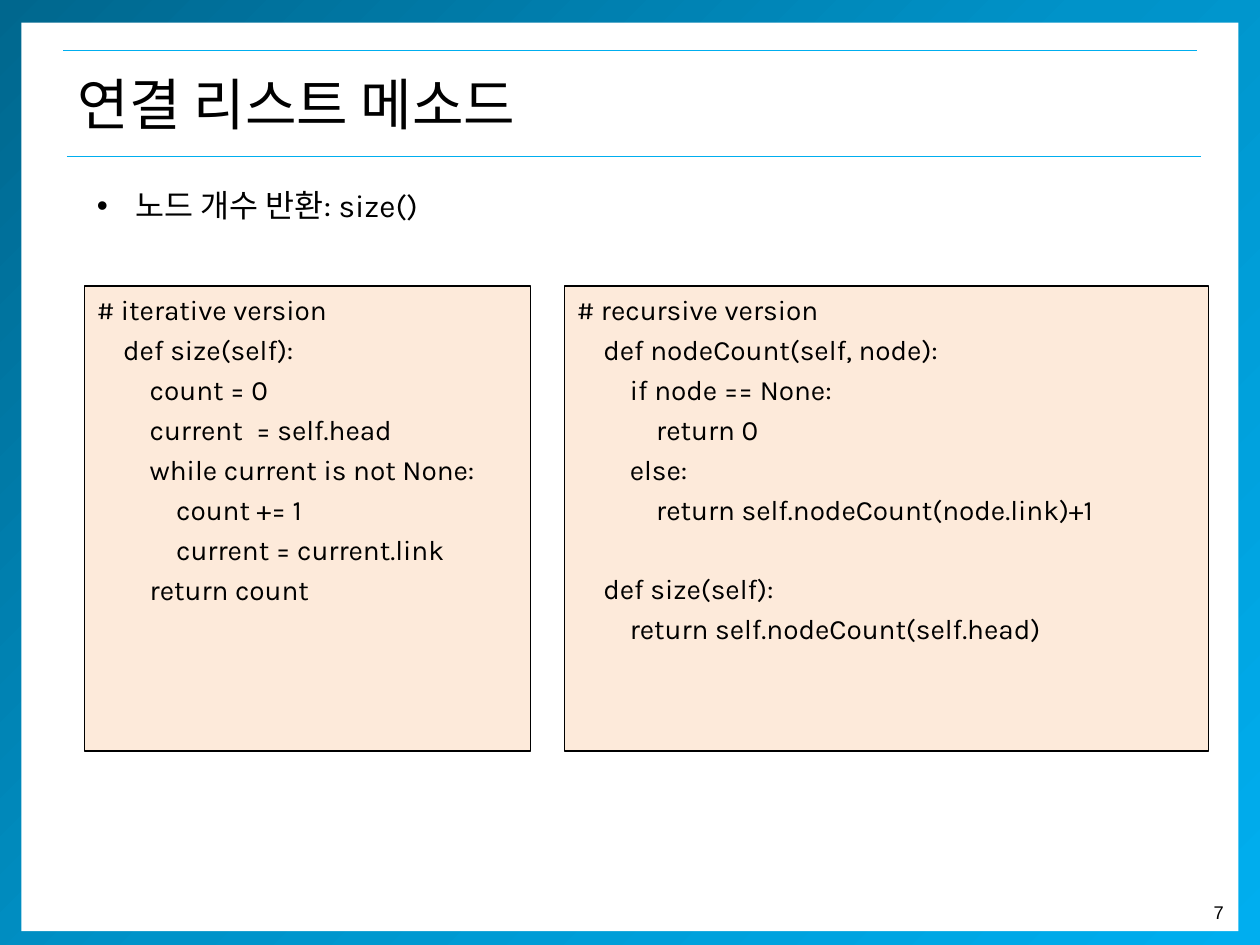
from copy import deepcopy

from lxml.etree import SubElement
from pptx import Presentation
from pptx.dml.color import RGBColor
from pptx.enum.shapes import MSO_CONNECTOR as Connector, MSO_SHAPE as Shape
from pptx.enum.text import MSO_ANCHOR as Anchor, PP_ALIGN as Align
from pptx.oxml.ns import qn
from pptx.util import Inches, Pt

COLORS = {
    "deep": "00678E", "mid": "0093C9", "sky": "00AEEF",
    "paper": "FFFFFF", "code": "FDEADA", "ink": "000000",
}
KOREAN = "Noto Sans CJK KR"
CODE_GAP = 3.7
BLANK_LINE = 22.4
INDENT_STEP = 0.21

ITERATIVE = [
    (0, "# iterative version"),
    (1, "def size(self):"),
    (2, "count = 0"),
    (2, "current  = self.head"),
    (2, "while current is not None:"),
    (3, "count += 1"),
    (3, "current = current.link"),
    (2, "return count"),
]
RECURSIVE = [
    (0, "# recursive version"),
    (1, "def nodeCount(self, node):"),
    (2, "if node == None:"),
    (3, "return 0"),
    (2, "else:"),
    (3, "return self.nodeCount(node.link)+1"),
    (1, "def size(self):", BLANK_LINE),
    (2, "return self.nodeCount(self.head)"),
]


def color(name):
    return RGBColor.from_string(COLORS[name])


def write(paragraph, text, size=16, font="Karla", align=Align.LEFT,
          before=0, margin=0, bullet=None):
    paragraph.alignment = align
    paragraph.space_before = Pt(before)
    run = paragraph.add_run()
    run.text = text
    run.font.size = Pt(size)
    run.font.color.rgb = color("ink")
    run.font.name = font
    SubElement(run.font._element, qn("a:ea"), typeface=KOREAN)
    layout = paragraph._p.get_or_add_pPr()
    layout.set("marL", str(Inches(margin)))
    layout.set("indent", str(-Inches(margin) if bullet else 0))
    if bullet:
        SubElement(layout, qn("a:buFont"), typeface="Arial")
        SubElement(layout, qn("a:buChar"), char=bullet)


class Deck:
    """Draws styled elements on a grid of 10 columns by 7.5 rows."""

    def __init__(self, columns=10, rows=7.5):
        self.columns, self.rows = columns, rows
        self.file = Presentation()
        self.file.slide_width = Inches(10)
        self.file.slide_height = Inches(7.5)
        self.slide = self.file.slides.add_slide(self.file.slide_layouts[6])

    def place(self, *lengths):
        across = self.file.slide_width / self.columns
        down = self.file.slide_height / self.rows
        return [round(n * (down if i % 2 else across))
                for i, n in enumerate(lengths)]

    def panel(self, *box, fill, line=None):
        panel = self.slide.shapes.add_shape(Shape.RECTANGLE, *self.place(*box))
        panel.shadow.inherit = False
        if isinstance(fill, list):
            self.blend(panel.fill, fill)
        else:
            panel.fill.solid()
            panel.fill.fore_color.rgb = color(fill)
        if line:
            panel.line.color.rgb = color(line)
            panel.line.width = Pt(0.75)
        else:
            panel.line.fill.background()
        return panel

    def blend(self, fill, names):
        fill.gradient()
        fill.gradient_angle = 315
        first = fill.gradient_stops[0]._gs
        for _ in names[2:]:
            first.addnext(deepcopy(first))
        for i, (stop, name) in enumerate(zip(fill.gradient_stops, names)):
            stop.color.rgb = color(name)
            stop.position = i / (len(names) - 1)

    def rule(self, left, top, width):
        rule = self.slide.shapes.add_connector(
            Connector.STRAIGHT, *self.place(left, top, left + width, top))
        rule.line.color.rgb = color("sky")
        rule.line.width = Pt(0.75)
        SubElement(rule._element.spPr, qn("a:effectLst"))

    def label(self, *box, text, anchor=Anchor.TOP, **style):
        frame = self.slide.shapes.add_textbox(*self.place(*box)).text_frame
        frame.word_wrap = True
        frame.vertical_anchor = anchor
        write(frame.paragraphs[0], text, **style)

    def code(self, *box, lines):
        frame = self.panel(*box, fill="code", line="ink").text_frame
        frame.word_wrap = True
        frame.vertical_anchor = Anchor.TOP
        for i, (level, text, *extra) in enumerate(lines):
            paragraph = frame.add_paragraph() if i else frame.paragraphs[0]
            write(paragraph, text, before=CODE_GAP + sum(extra),
                  margin=level * INDENT_STEP)


def main():
    deck = Deck()
    deck.panel(0, 0, 10, 7.5, fill=["deep", "mid", "sky"])
    deck.panel(0.17, 0.18, 9.66, 7.21, fill="paper")
    deck.label(9.42, 7.1, 0.39, 0.28, text="7", size=10.5, font="Arial",
               align=Align.RIGHT)
    deck.rule(0.5, 0.4, 9)
    deck.rule(0.53, 1.24, 9)
    deck.label(0.52, 0.4, 9.07, 0.84, text="연결 리스트 메소드", size=32,
               font=KOREAN, anchor=Anchor.MIDDLE)
    deck.code(0.67, 2.27, 3.54, 3.69, lines=ITERATIVE)
    deck.code(4.48, 2.27, 5.11, 3.69, lines=RECURSIVE)
    deck.label(0.67, 1.43, 5, 0.4, text="노드 개수 반환: size()", size=18,
               margin=0.31, bullet="•")
    deck.file.save("out.pptx")


if __name__ == "__main__":
    main()
